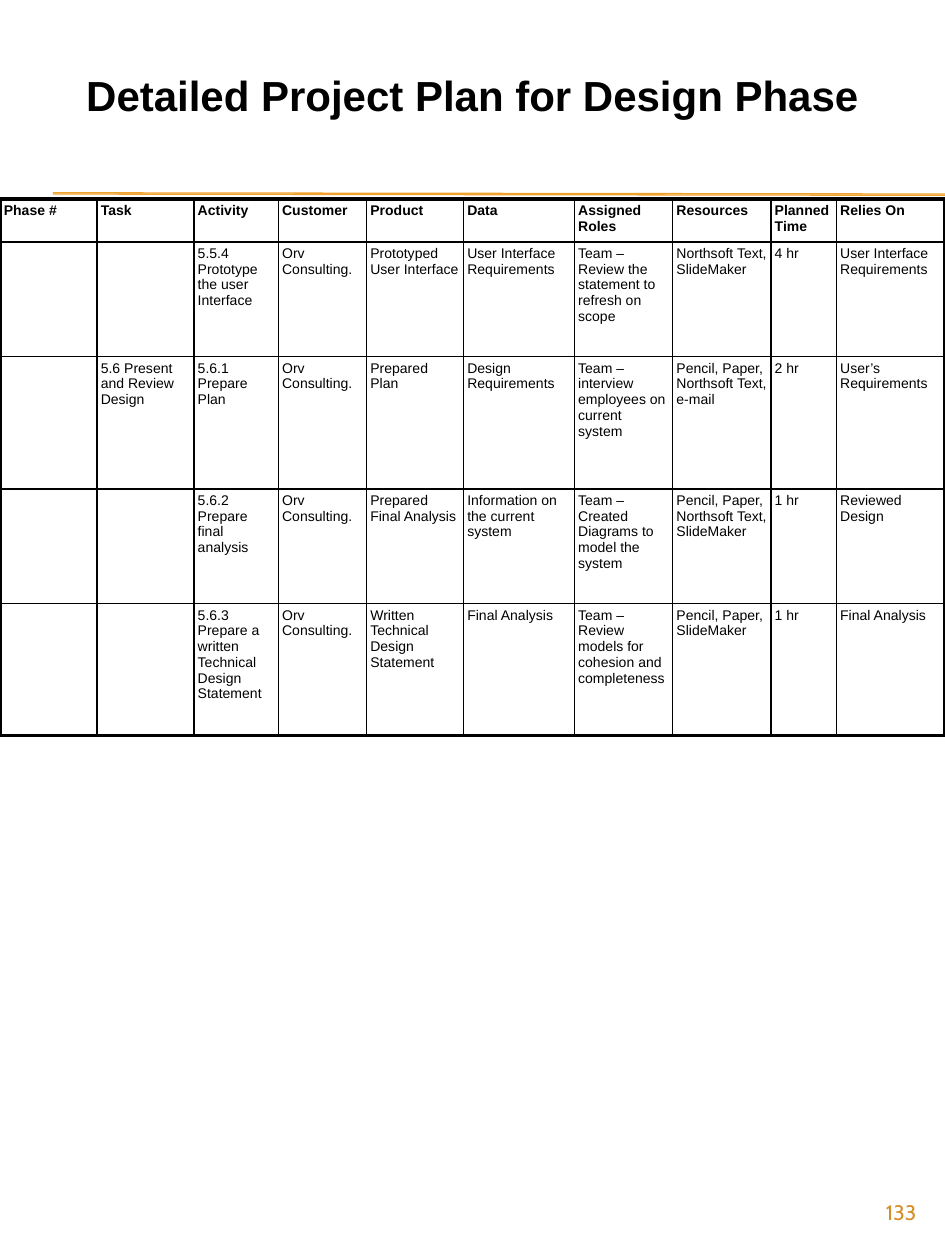
from lxml import etree
from pptx import Presentation
from pptx.dml.color import RGBColor
from pptx.enum import shapes, text
from pptx.oxml.ns import qn
from pptx.util import Inches, Pt

TITLE = "Detailed Project Plan for Design Phase"
PAGE_NUMBER = "133"
PLAN = [
    ["Phase #", "Task", "Activity", "Customer", "Product", "Data",
     "Assigned Roles", "Resources", "Planned Time", "Relies On"],
    ["", "", "5.5.4 Prototype the user Interface", "Orv Consulting.",
     "Prototyped User Interface", "User Interface Requirements",
     "Team – Review the statement to refresh on scope",
     "Northsoft Text, SlideMaker", "4 hr", "User Interface Requirements"],
    ["", "5.6 Present and Review Design", "5.6.1 Prepare Plan", "Orv Consulting.",
     "Prepared Plan", "Design Requirements",
     "Team – interview employees on current system",
     "Pencil, Paper, Northsoft Text, e-mail", "2 hr", "User’s Requirements"],
    ["", "", "5.6.2 Prepare final analysis", "Orv Consulting.",
     "Prepared Final Analysis", "Information on the current system",
     "Team – Created Diagrams to model the system",
     "Pencil, Paper, Northsoft Text, SlideMaker", "1 hr", "Reviewed Design"],
    ["", "", "5.6.3 Prepare a written Technical Design Statement", "Orv Consulting.",
     "Written Technical Design Statement", "Final Analysis",
     "Team – Review models for cohesion and completeness",
     "Pencil, Paper, SlideMaker", "1 hr", "Final Analysis"],
]
COLUMN_WIDTHS = [0.77, 0.77, 0.67, 0.7, 0.77, 0.88, 0.78, 0.78, 0.52, 0.86]
ROW_HEIGHTS = [0.34, 0.91, 1.05, 0.91, 1.05]
CELL_MARGIN = 0.03
INNER_BORDER, OUTER_BORDER = 1, 2.25
BLACK, ORANGE, DARK_ORANGE = "000000", "F0A22E", "D48F29"


def color(value):
    return RGBColor.from_string(value)


def format_text(paragraph, size, font_name, value, bold=False):
    for run in paragraph.runs:
        run.font.size = Pt(size)
        run.font.name = font_name
        run.font.bold = bold
        run.font.color.rgb = color(value)


def add_label(slide, words, box, align, anchor, **style):
    frame = slide.shapes.add_textbox(*map(Inches, box)).text_frame
    frame.word_wrap = True
    frame.vertical_anchor = anchor
    frame.text = words
    frame.paragraphs[0].alignment = align
    format_text(frame.paragraphs[0], **style)


def add_rule(slide, top):
    rule = slide.shapes.add_connector(
        shapes.MSO_CONNECTOR.STRAIGHT,
        Inches(0.42), Inches(top), Inches(7.5), Inches(top + 0.01))
    rule.line.color.rgb = color(ORANGE)
    rule.line.width = Pt(0.75)
    etree.SubElement(rule._element.spPr, qn("a:effectLst"))


def set_borders(cell, widths):
    """Draw left, right, top and bottom borders, with widths in points."""
    properties = cell._tc.get_or_add_tcPr()
    for position, (side, width) in enumerate(zip("LRTB", widths)):
        border = etree.Element(qn(f"a:ln{side}"), w=str(Pt(width)))
        fill = etree.SubElement(border, qn("a:solidFill"))
        etree.SubElement(fill, qn("a:srgbClr"), val=BLACK)
        properties.insert(position, border)


def add_plan(slide):
    last_row, last_column = len(ROW_HEIGHTS) - 1, len(COLUMN_WIDTHS) - 1
    table = slide.shapes.add_table(
        len(ROW_HEIGHTS), len(COLUMN_WIDTHS), Inches(0), Inches(1.58),
        Inches(sum(COLUMN_WIDTHS)), Inches(sum(ROW_HEIGHTS))).table
    table.first_row = table.horz_banding = False
    for column, width in zip(table.columns, COLUMN_WIDTHS):
        column.width = Inches(width)
    for row, height in zip(table.rows, ROW_HEIGHTS):
        row.height = Inches(height)

    for r, entries in enumerate(PLAN):
        for c, entry in enumerate(entries):
            cell = table.cell(r, c)
            cell.fill.background()
            cell.margin_left = cell.margin_right = Inches(CELL_MARGIN)
            cell.margin_top = cell.margin_bottom = Inches(CELL_MARGIN)
            cell.text_frame.text = entry
            format_text(cell.text_frame.paragraphs[0], 8, "Arial", BLACK, bold=r == 0)
            on_edge = (c == 0, c == last_column, r == 0, r == last_row)
            set_borders(cell, [OUTER_BORDER if edge else INNER_BORDER for edge in on_edge])


def main():
    deck = Presentation()
    deck.slide_width, deck.slide_height = Inches(7.5), Inches(10)
    slide = deck.slides.add_slide(deck.slide_layouts[6])
    for top in (1.53, 1.54):
        add_rule(slide, top)
    add_label(slide, PAGE_NUMBER, (6.75, 9.44, 0.62, 0.36),
              text.PP_ALIGN.RIGHT, text.MSO_ANCHOR.MIDDLE,
              size=12, font_name="Cabin", value=DARK_ORANGE)
    add_plan(slide)
    add_label(slide, TITLE, (0, 0.5, 7.5, 0.5),
              text.PP_ALIGN.CENTER, text.MSO_ANCHOR.TOP,
              size=24, font_name="Arial", value=BLACK, bold=True)
    deck.save("out.pptx")


if __name__ == "__main__":
    main()
